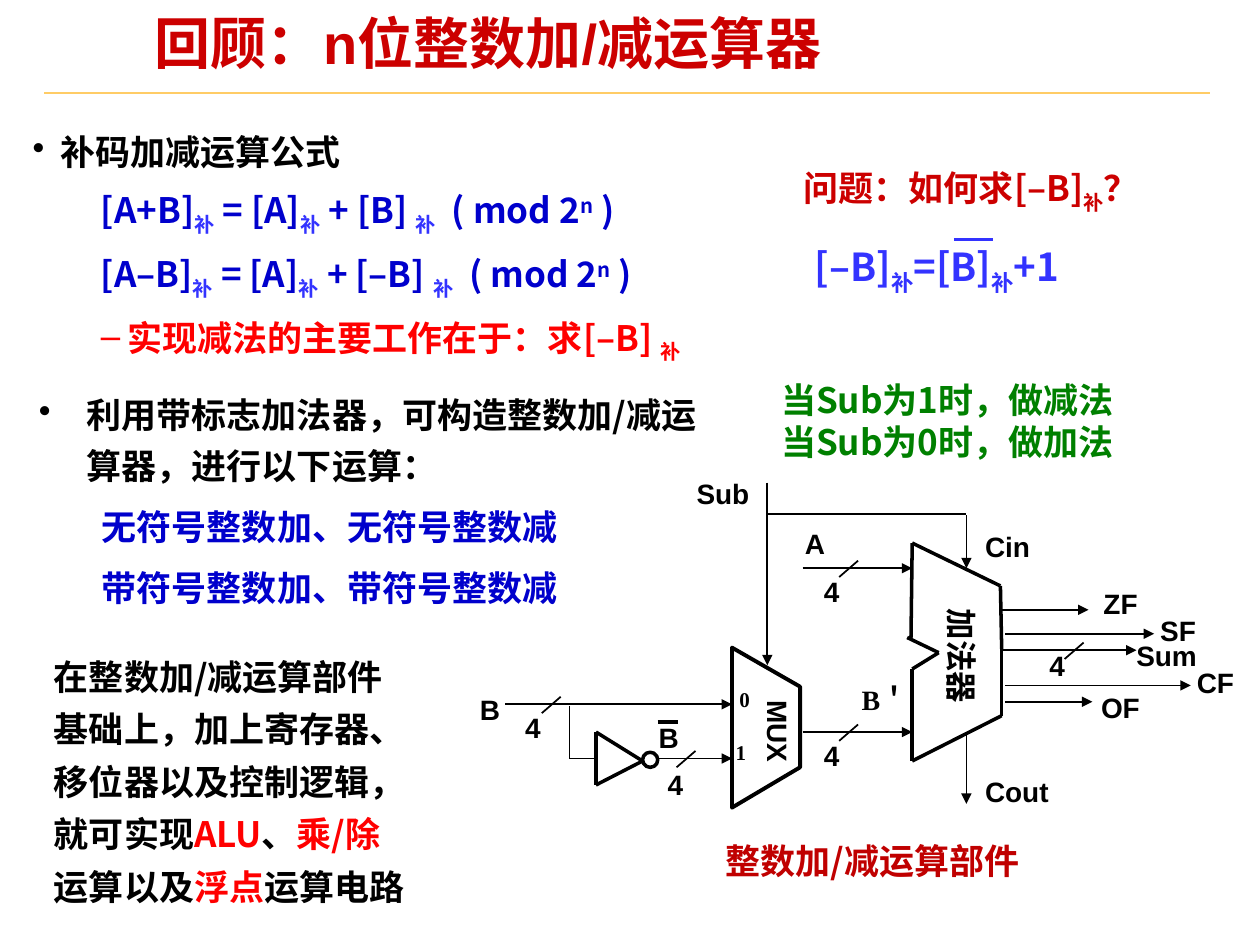
from itertools import pairwise

from lxml.etree import SubElement
from pptx import Presentation
from pptx.dml.color import RGBColor
from pptx.enum.shapes import MSO_CONNECTOR, MSO_SHAPE
from pptx.enum.text import MSO_ANCHOR, MSO_AUTO_SIZE, PP_ALIGN
from pptx.oxml.ns import qn
from pptx.util import Inches, Pt

CJK = "Noto Sans CJK SC"
BLACK, BLUE, LIGHT_BLUE = "000000", "0000CC", "3333FF"
RED, DARK_RED, GREEN = "FF0000", "CC0000", "008000"
SUB, SUPER = -25, 30


def rgb(value):
    return RGBColor.from_string(value)


def add_run(paragraph, text, size, font, color, baseline=0):
    run = paragraph.add_run()
    run.text = text
    run.font.size = Pt(size)
    run.font.bold = True
    run.font.color.rgb = rgb(color)
    run.font.name = font
    properties = run.font._element
    SubElement(properties, qn("a:ea")).set("typeface", CJK)
    if baseline:
        properties.set("baseline", str(baseline * 1000))


def write(paragraph, runs, size=20, font=CJK, color=BLACK, spacing=None,
          before=None, level=0, margin=0, indent=0, bullet=None):
    """Fill a paragraph; each run is a string or (text, color, baseline)."""
    paragraph.alignment = PP_ALIGN.LEFT
    paragraph.level = level
    if spacing:
        paragraph.line_spacing = spacing
    if before:
        paragraph.space_before = Pt(before)
    properties = paragraph._p.get_or_add_pPr()
    properties.set("marL", str(Inches(margin)))
    properties.set("indent", str(Inches(indent)))
    if bullet:
        bullet_color = SubElement(properties, qn("a:buClr"))
        SubElement(bullet_color, qn("a:srgbClr")).set("val", color)
        SubElement(properties, qn("a:buChar")).set("char", bullet)
    for run in [runs] if isinstance(runs, str) else runs:
        text, *style = (run,) if isinstance(run, str) else run
        add_run(paragraph, text, size, font, *(style or [color]))


def set_frame(frame, inset=(0.1, 0.05), anchor=MSO_ANCHOR.TOP, wrap=True):
    frame.word_wrap = wrap
    frame.auto_size = MSO_AUTO_SIZE.SHAPE_TO_FIT_TEXT
    frame.vertical_anchor = anchor
    frame.margin_left = frame.margin_right = Inches(inset[0])
    frame.margin_top = frame.margin_bottom = Inches(inset[1])


def add_text(slide, at, *paragraphs, rotation=0, inset=(0.1, 0.05),
             anchor=MSO_ANCHOR.TOP, wrap=True, **style):
    """Add a text box; a paragraph is its runs, or (runs, own style)."""
    box = slide.shapes.add_textbox(*map(Inches, at))
    box.rotation = rotation
    frame = box.text_frame
    set_frame(frame, inset, anchor, wrap)
    for index, item in enumerate(paragraphs):
        runs, own = item if isinstance(item, tuple) else (item, {})
        paragraph = frame.add_paragraph() if index else frame.paragraphs[0]
        write(paragraph, runs, **{**style, **own})


def add_line(slide, start, end, width=1, color=BLACK, arrow=False):
    line = slide.shapes.add_connector(
        MSO_CONNECTOR.STRAIGHT, *map(Inches, (*start, *end)))
    line.line.width = Pt(width)
    line.line.color.rgb = rgb(color)
    if arrow:
        SubElement(line.line._get_or_add_ln(), qn("a:tailEnd")).set("type", "triangle")
    SubElement(line._element.spPr, qn("a:effectLst"))


def add_outline(slide, *points):
    for start, end in pairwise(points):
        add_line(slide, start, end, width=2)


def style_outline(shape, width):
    shape.shadow.inherit = False
    shape.fill.background()
    shape.line.color.rgb = rgb(BLACK)
    shape.line.width = Pt(width)


def add_label(slide, text, left, top, width, height=0.36, size=16, font="Arial", **style):
    add_text(slide, (left, top, width, height), text, size=size, font=font, wrap=False, **style)


def add_bus_mark(slide, left, bottom):
    add_line(slide, (left + 0.15, bottom - 0.13), (left, bottom))


def add_title(slide):
    title = slide.shapes.title
    title.left, title.top, title.width, title.height = map(Inches, (1.16, 0.11, 8.02, 0.52))
    set_frame(title.text_frame, (0.07, 0.03))
    write(title.text_frame.paragraphs[0], "回顾：n位整数加/减运算器",
          size=32, font="Arial", color=DARK_RED, spacing=0.87)
    add_line(slide, (0.35, 0.74), (9.6, 0.74), color="FFCC66")


def formula(result, operand):
    complement = ("补", LIGHT_BLUE, SUB)
    return [result, complement, " = [A]", complement, f" + {operand} ",
            complement, "  ( mod 2", ("n", BLUE, SUPER), " )"]


def add_explanations(slide):
    second = dict(level=1, margin=0.81, indent=-0.31, color=BLUE, before=6.2)
    add_text(slide, (0.21, 3.01, 5.43, 2.82),
             ("利用带标志加法器，可构造整数加/减运算器，进行以下运算：",
              dict(margin=0.38, indent=-0.38, bullet="•")),
             ("无符号整数加、无符号整数减", second),
             ("带符号整数加、带符号整数减", second), spacing=1.2)
    add_text(slide, (6.1, 2.95, 3.12, 0.77), "当Sub为1时，做减法", "当Sub为0时，做加法",
             color=GREEN, anchor=MSO_ANCHOR.MIDDLE)
    second = dict(level=1, margin=0.75, indent=-0.21, color=BLUE, before=5)
    add_text(slide, (0.19, 0.96, 6.47, 1.96),
             ("补码加减运算公式", dict(margin=0.22, indent=-0.22, bullet="•")),
             (formula("[A+B]", "[B]"), second),
             (formula("[A–B]", "[–B]"), second),
             (["实现减法的主要工作在于：求[–B] ", ("补", RED, SUB)],
              {**second, "color": RED, "bullet": "–"}),
             inset=(0.07, 0.03), spacing=1.15)
    add_text(slide, (6.28, 1.27, 3.14, 0.48),
             ["问题：如何求[–B]", ("补", DARK_RED, SUB), "？"], color=DARK_RED)
    complement = ("补", LIGHT_BLUE, SUB)
    add_text(slide, (6.37, 1.88, 2.6, 0.52),
             ["[–B]", complement, "=[B]", complement, "+1"], size=22, color=LIGHT_BLUE)
    add_line(slide, (7.57, 1.9), (7.88, 1.9), width=1.5, color=LIGHT_BLUE)
    add_text(slide, (0.33, 5.07, 3.06, 2.6),
             ["在整数加/减运算部件基础上，加上寄存器、移位器以及控制逻辑，就可实现",
              ("ALU", RED), "、", ("乘/除", RED), "运算以及", ("浮点", RED), "运算电路"],
             spacing=1.25)


def add_adder(slide):
    add_outline(slide, (7.23, 5.07), (7.24, 4.31), (7.94, 4.65), (7.95, 5.15), (7.95, 5.68),
                (7.24, 6.04), (7.24, 5.31), (7.45, 5.18), (7.2, 5.06))
    add_text(slide, (7.1, 5.07, 1.07, 0.4), "加法器", size=18, font="Arial", rotation=90)


def add_mux(slide):
    corners = [tuple(map(Inches, corner))
               for corner in ((5.81, 6.41), (6.35, 6.09), (6.35, 5.45), (5.81, 5.14))]
    builder = slide.shapes.build_freeform(*corners[0])
    builder.add_line_segments(corners[1:], close=True)
    style_outline(builder.convert_to_shape(), 2.25)
    add_text(slide, (5.77, 5.69, 0.82, 0.36), "MUX", size=16, font="Arial", rotation=90)
    for digit, left, top in (("0", 5.77, 5.4), ("1", 5.74, 5.82)):
        add_label(slide, digit, left, top, 0.28, 0.3, size=12, font="Times New Roman")


def add_inverter(slide):
    add_outline(slide, (4.73, 5.81), (5.1, 6.04), (4.73, 6.23), (4.73, 5.81))
    bubble = slide.shapes.add_shape(
        MSO_SHAPE.OVAL, *map(Inches, (5.1, 5.97, 0.12, 0.12)))
    style_outline(bubble, 2)
    add_line(slide, (5.22, 5.73), (5.38, 5.73), width=2.25)


def add_wiring(slide):
    arrows = [
        ((6.37, 4.51), (7.24, 4.51)), ((6.37, 5.81), (7.24, 5.81)),
        ((4.01, 5.59), (5.81, 5.59)), ((5.23, 6.02), (5.81, 6.02)),
        ((6.09, 3.83), (6.09, 5.28)), ((7.67, 4.09), (7.67, 4.51)),
        ((7.67, 5.82), (7.67, 6.38)), ((7.95, 4.84), (8.64, 4.84)),
        ((7.98, 5.03), (9.16, 5.03)), ((7.96, 5.16), (9.02, 5.16)),
        ((7.98, 5.44), (9.45, 5.44)), ((7.98, 5.57), (8.67, 5.57))]
    for start, end in arrows:
        add_line(slide, start, end, arrow=True)
    for start, end in (((6.08, 4.08), (7.67, 4.08)), ((4.52, 5.6), (4.52, 6.02)),
                       ((4.52, 6.02), (4.72, 6.02))):
        add_line(slide, start, end)
    for mark in ((6.66, 5.88), (6.66, 4.58), (8.45, 5.23), (4.3, 5.66), (5.37, 6.09)):
        add_bus_mark(slide, *mark)


def add_signal_names(slide):
    for left, top in ((6.44, 4.51), (6.44, 5.81), (4.07, 5.59), (5.2, 6.04)):
        add_label(slide, "4", left, top, 0.32)
    add_label(slide, "4", 8.23, 5.16, 0.32, 0.3, spacing=0.75)
    for name, left, top, width in (
            ("Sub", 5.43, 3.73, 0.62), ("A", 6.29, 4.13, 0.36), ("B", 3.71, 5.45, 0.36),
            ("B", 5.13, 5.67, 0.36), ("Cin", 7.72, 4.15, 0.56), ("Cout", 7.72, 6.1, 0.74),
            ("ZF", 8.66, 4.61, 0.47), ("SF", 9.11, 4.82, 0.59), ("Sum", 8.92, 5.02, 0.68),
            ("CF", 9.4, 5.23, 0.6), ("OF", 8.64, 5.43, 0.51)):
        add_label(slide, name, left, top, width)
    add_text(slide, (6.74, 5.37, 0.68, 0.37), "B＇", size=16, font="Times New Roman")
    add_text(slide, (5.66, 6.61, 2.61, 0.77), "整数加/减运算部件", color="C00000")


def main():
    deck = Presentation()
    deck.slide_width, deck.slide_height = Inches(10), Inches(7.5)
    slide = deck.slides.add_slide(deck.slide_layouts[5])
    add_title(slide)
    add_explanations(slide)
    add_adder(slide)
    add_mux(slide)
    add_inverter(slide)
    add_wiring(slide)
    add_signal_names(slide)
    deck.save("out.pptx")


if __name__ == "__main__":
    main()
